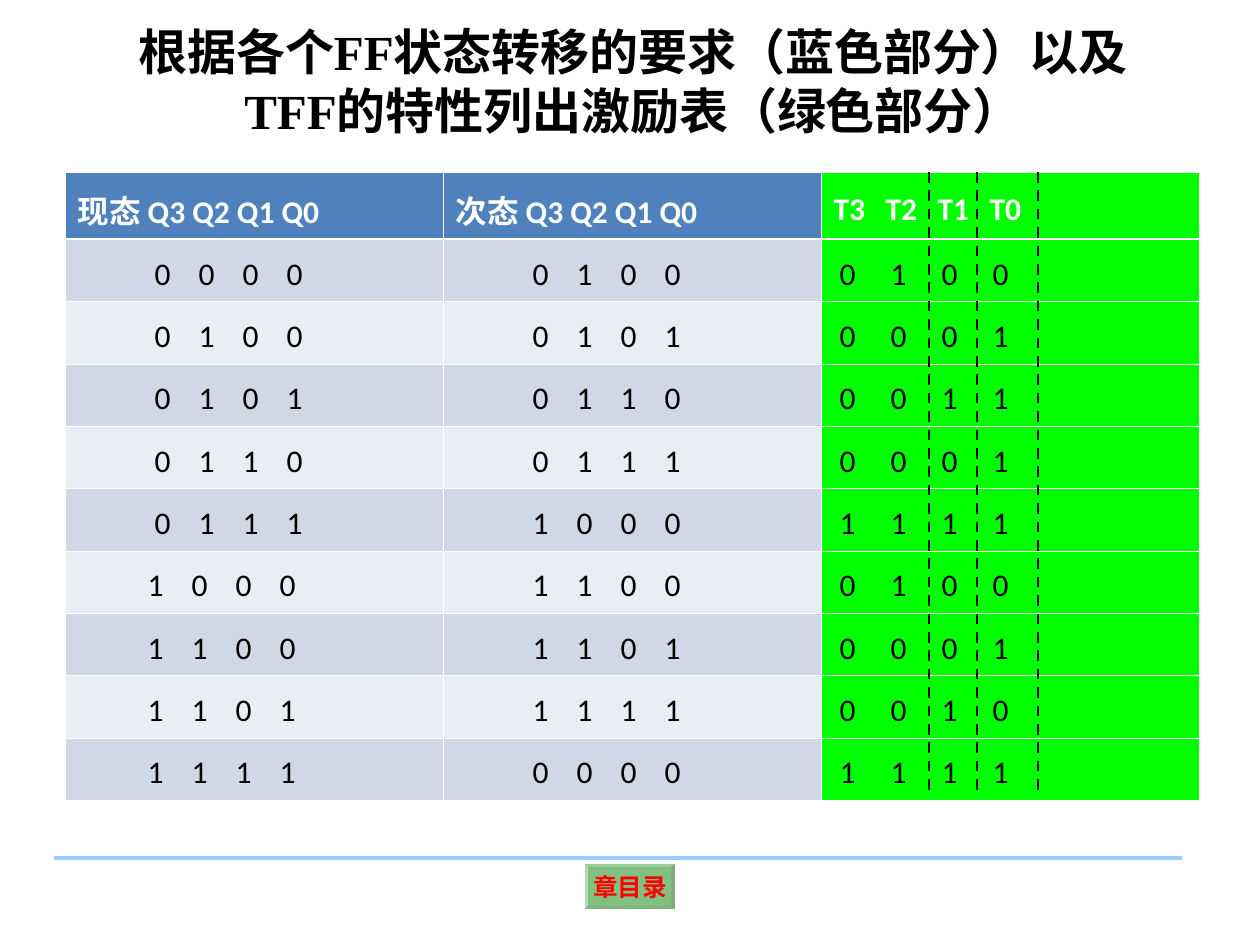
from lxml.etree import SubElement
from pptx import Presentation
from pptx.dml.color import RGBColor
from pptx.enum.dml import MSO_LINE
from pptx.enum.shapes import MSO_CONNECTOR, MSO_SHAPE
from pptx.enum.text import MSO_ANCHOR, PP_ALIGN
from pptx.oxml.ns import qn
from pptx.util import Pt

PX = 914400 / 126  # EMU per pixel


def px(*values):
    return [round(v * PX) for v in values]


def paint(target, color):
    """Give a fill a solid colour, or a font or line its colour."""
    if hasattr(target, "solid"):
        target.solid()
        target.fore_color.rgb = RGBColor.from_string(color)
    elif hasattr(target, "fill"):
        paint(target.fill, color)


prs = Presentation()
prs.slide_width, prs.slide_height = px(1260, 945)
s = prs.slides.add_slide(prs.slide_layouts[6])

# Chapter contents button
button = s.shapes.add_shape(MSO_SHAPE.BEVEL, *px(585, 864, 90, 45))
button.adjustments[0] = 0.07
button.shadow.inherit = False
paint(button.fill, "008000")
color = button.fill._xPr.find(qn("a:solidFill"))[0]
SubElement(color, qn("a:alpha"), val="49000")
button.line.fill.background()
tf = button.text_frame
tf.word_wrap = False
tf.vertical_anchor = MSO_ANCHOR.MIDDLE
tf.margin_left, tf.margin_top, tf.margin_right, tf.margin_bottom = px(5, 5, 5, 5)
p = tf.paragraphs[0]
p.text = "章目录"
p.alignment = PP_ALIGN.CENTER
p.font.name, p.font.size, p.font.bold = "Times New Roman", Pt(14), True
paint(p.font, "FF0000")

# Excitation table: present state, next state, T inputs
states = ["0000", "0100", "0101", "0110", "0111", "1000", "1100", "1101", "1111"]
next_states = ["0100", "0101", "0110", "0111", "1000", "1100", "1101", "1111", "0000"]
inputs = ["0100", "0001", "0011", "0001", "1111", "0100", "0001", "0010", "1111"]
rows = [["现态 Q3 Q2 Q1 Q0", "次态 Q3 Q2 Q1 Q0", "T3\tT2\tT1\tT0"]]
for bits in zip(states, next_states, inputs):
    rows.append(["".join("\t" + bit for bit in word) for word in bits])

table = s.shapes.add_table(10, 3, *px(65, 172, 1134, 624)).table
for i, row in enumerate(rows):
    table.rows[i].height = px(62.4)[0]
    for j, text in enumerate(row):
        cell = table.cell(i, j)
        cell.vertical_anchor = MSO_ANCHOR.MIDDLE
        tcPr = cell._tc.get_or_add_tcPr()
        for side in "LRTB":
            thick = (i, side) in [(0, "B"), (1, "T")]
            ln = SubElement(tcPr, qn("a:ln" + side), w=str(Pt(1.47 if thick else 0.45)))
            SubElement(SubElement(ln, qn("a:solidFill")), qn("a:srgbClr"), val="FFFFFF")
        if j == 2:
            paint(cell.fill, "00FF00")
        elif i == 0:
            paint(cell.fill, "4F81BD")
        else:
            paint(cell.fill, "D0D8E8" if i % 2 else "E9EDF4")

        p = cell.text_frame.paragraphs[0]
        p.text = text
        p.line_spacing = 1.2
        if "\t" in text:
            if i == 0:
                first, step, stops = 52, 52, 3
            elif j == 2:
                first, step, stops = 6, 51, 4
            else:
                first, step, stops = (70 if j == 0 and i > 5 else 77), 44, 4
            tabs = SubElement(p._p.get_or_add_pPr(), qn("a:tabLst"))
            for pos in px(*(first + step * k for k in range(stops))):
                SubElement(tabs, qn("a:tab"), pos=str(pos), algn="l")
        p.font.name, p.font.size, p.font.bold = "Calibri", Pt(18), i == 0
        paint(p.font, "000000" if i else "FFFFFF")

# Title
title = s.shapes.add_textbox(*px(93, 15, 1080, 131))
tf = title.text_frame
tf.word_wrap = True
p = tf.paragraphs[0]
p.text = "根据各个FF状态转移的要求（蓝色部分）以及TFF的特性列出激励表（绿色部分）"
p.alignment = PP_ALIGN.CENTER
p.font.name, p.font.size, p.font.bold = "Times New Roman", Pt(28), True
paint(p.font, "000000")

# Footer rule, then the dashed dividers between the T inputs
lines = [(54, 858, 1182, 858, "99CCFF", 2.25)]
lines += [(x, 172, x, 795, "000000", 1.5) for x in (929, 977, 1038)]
for x1, y1, x2, y2, color, width in lines:
    line = s.shapes.add_connector(MSO_CONNECTOR.STRAIGHT, *px(x1, y1, x2, y2))
    paint(line.line, color)
    line.line.width = Pt(width)
    if x1 == x2:
        line.line.dash_style = MSO_LINE.DASH
    SubElement(line._element.spPr, qn("a:effectLst"))

prs.save("out.pptx")
